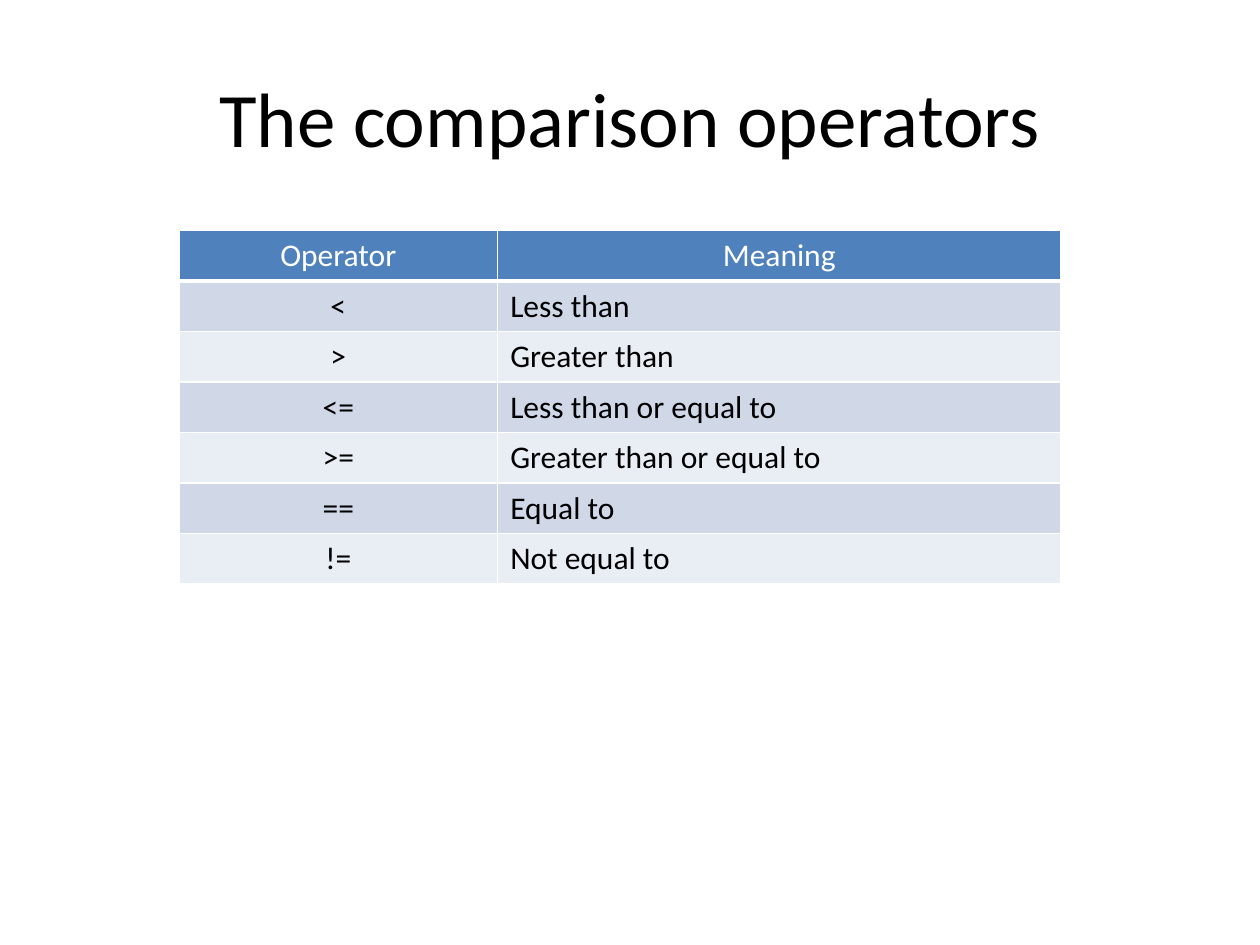
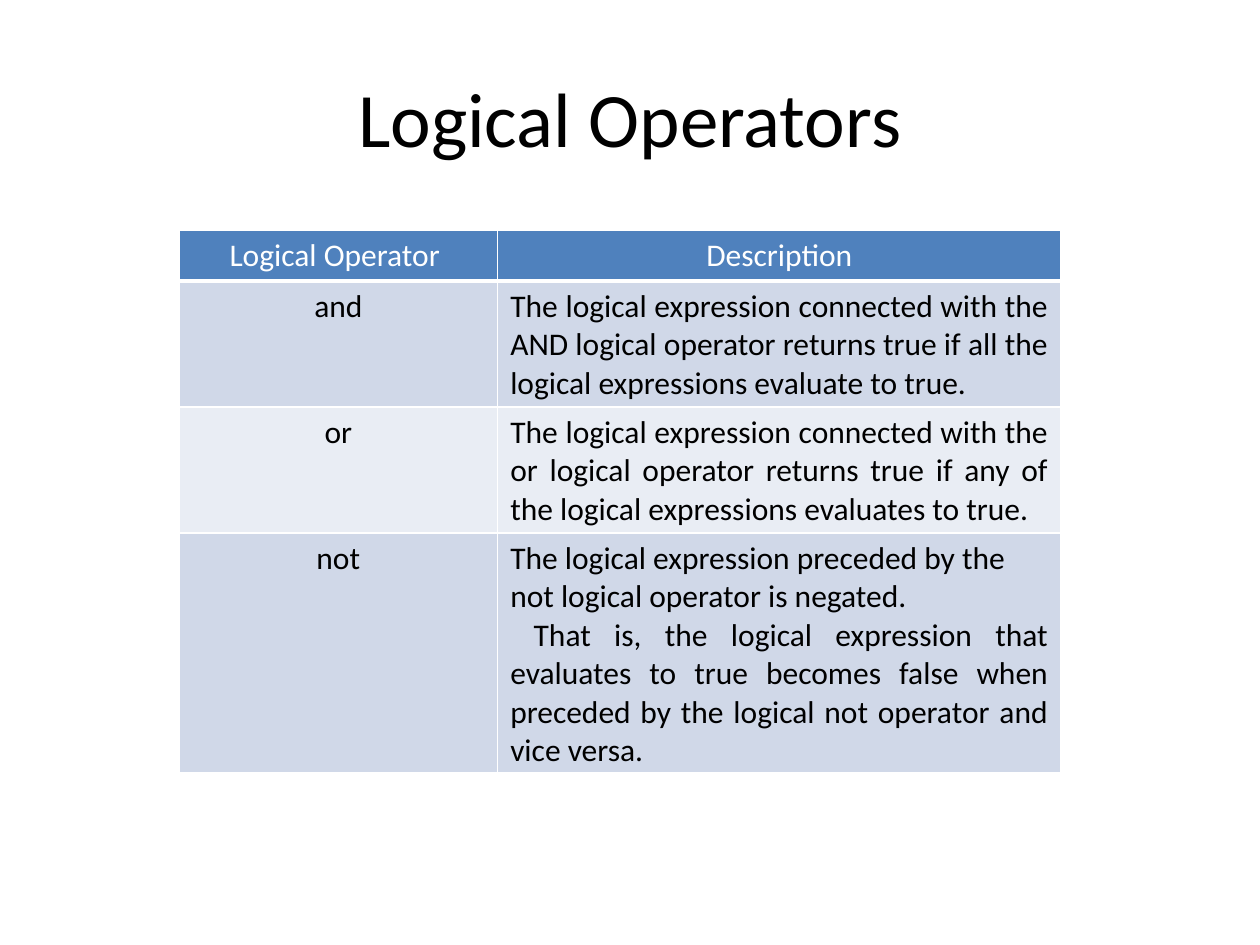
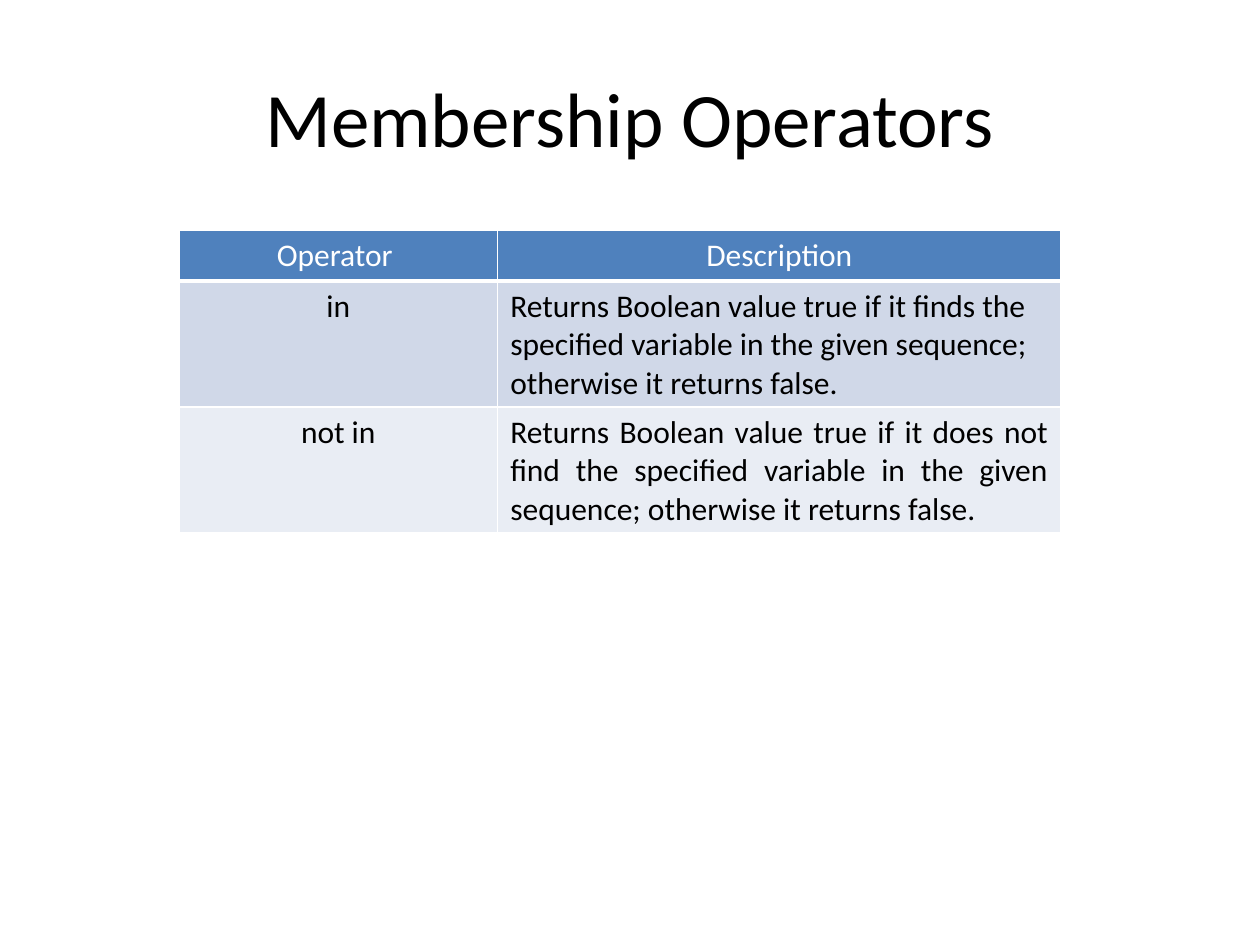
"""Build three slides that list operators, each with a title and a table."""
from lxml.etree import SubElement
from pptx import Presentation
from pptx.dml.color import RGBColor
from pptx.enum.text import MSO_ANCHOR as Anchor, PP_ALIGN as Align
from pptx.oxml.ns import qn
from pptx.util import Inches, Pt

COLORS = {
    "text": "000000",
    "white": "FFFFFF",
    "header": "4F81BD",
    "odd": "D0D8E8",
    "even": "E9EDF4",
}
FONT = "Calibri"
COLUMN, ROW = Inches(0.5), Inches(0.3)
CELL_PADDING = Inches(0.1)
TABLE_COLUMNS = (5.06, 8.94)


def color(name):
    return RGBColor.from_string(COLORS[name])


class OperatorDeck:
    def __init__(self):
        self.deck = Presentation()
        self.deck.slide_width = 20 * COLUMN
        self.deck.slide_height = 25 * ROW
        self.page = None

    def add_page(self, title):
        self.page = self.deck.slides.add_slide(self.deck.slide_layouts[6])
        fill = self.page.background.fill
        fill.solid()
        fill.fore_color.rgb = color("white")
        self.add_title(title)

    def place(self, left, top, width, height):
        return [round(length) for length in
                (left * COLUMN, top * ROW, width * COLUMN, height * ROW)]

    def add_text(self, frame, text, size, ink, align):
        frame.word_wrap = True
        for index, line in enumerate(text.split("\n")):
            para = frame.add_paragraph() if index else frame.paragraphs[0]
            para.alignment = align
            span = para.add_run()
            span.text = line
            span.font.name = FONT
            span.font.size = Pt(size)
            span.font.bold = False
            span.font.color.rgb = color(ink)

    def add_title(self, text):
        box = self.page.shapes.add_textbox(*self.place(1, 1, 18, 4.17))
        box.text_frame.vertical_anchor = Anchor.MIDDLE
        self.add_text(box.text_frame, text, 44, "text", Align.CENTER)

    def add_borders(self, cell, bottom):
        properties = cell._tc.get_or_add_tcPr()
        for side, points in (("L", 1), ("R", 1), ("T", 1), ("B", bottom)):
            line = SubElement(properties, qn(f"a:ln{side}"), w=str(Pt(points)))
            fill = SubElement(line, qn("a:solidFill"))
            SubElement(fill, qn("a:srgbClr"), val=COLORS["white"])

    def add_cell(self, cell, text, ink, fill, align, bottom):
        self.add_borders(cell, bottom)
        cell.fill.solid()
        cell.fill.fore_color.rgb = color(fill)
        self.add_text(cell.text_frame, text, 18, ink, align)

    def add_table(self, rows, line_counts, body_align):
        heights = [CELL_PADDING + lines * ROW for lines in line_counts]
        area = self.place(2.84, 6.1, sum(TABLE_COLUMNS), sum(heights) / ROW)
        table = self.page.shapes.add_table(len(rows), 2, *area).table
        table.horz_banding = False
        for column, width in zip(table.columns, TABLE_COLUMNS):
            column.width = round(width * COLUMN)
        for index, (texts, height) in enumerate(zip(rows, heights)):
            table.rows[index].height = height
            is_header = index == 0
            ink = "white" if is_header else "text"
            fill = "header" if is_header else ("even", "odd")[index % 2]
            aligns = (Align.CENTER, Align.CENTER if is_header else body_align)
            for column, (text, align) in enumerate(zip(texts, aligns)):
                self.add_cell(table.cell(index, column), text, ink, fill,
                              align, 3 if is_header else 1)


COMPARISON = [
    ("Operator", "Meaning"),
    ("<", "Less than"),
    (">", "Greater than"),
    ("<=", "Less than or equal to"),
    (">=", "Greater than or equal to"),
    ("==", "Equal to"),
    ("!=", "Not equal to"),
]
LOGICAL = [
    ("Logical Operator ", "Description"),
    ("and", "The logical expression connected with the AND logical operator "
            "returns true if all the logical expressions evaluate to true."),
    ("or", "The logical expression connected with the or logical operator "
           "returns true if any of the logical expressions evaluates to true."),
    ("not", "The logical expression preceded by the\n"
            "not logical operator is negated.\n"
            " That is, the logical expression that evaluates to true becomes "
            "false when preceded by the logical not operator and vice versa."),
]
MEMBERSHIP = [
    ("Operator ", "Description"),
    ("in", "Returns Boolean value true if it finds the\n"
           "specified variable in the given sequence;\n"
           "otherwise it returns false."),
    ("not in", "Returns Boolean value true if it does not find the specified "
               "variable in the given sequence; otherwise it returns false."),
]
PAGES = [
    ("The comparison operators", COMPARISON, [1] * 7, Align.LEFT),
    ("Logical Operators", LOGICAL, [1, 3, 3, 6], Align.JUSTIFY),
    ("Membership Operators", MEMBERSHIP, [1, 3, 3], Align.JUSTIFY),
]


def main():
    builder = OperatorDeck()
    for title, rows, line_counts, body_align in PAGES:
        builder.add_page(title)
        builder.add_table(rows, line_counts, body_align)
    builder.deck.save("out.pptx")


if __name__ == "__main__":
    main()
